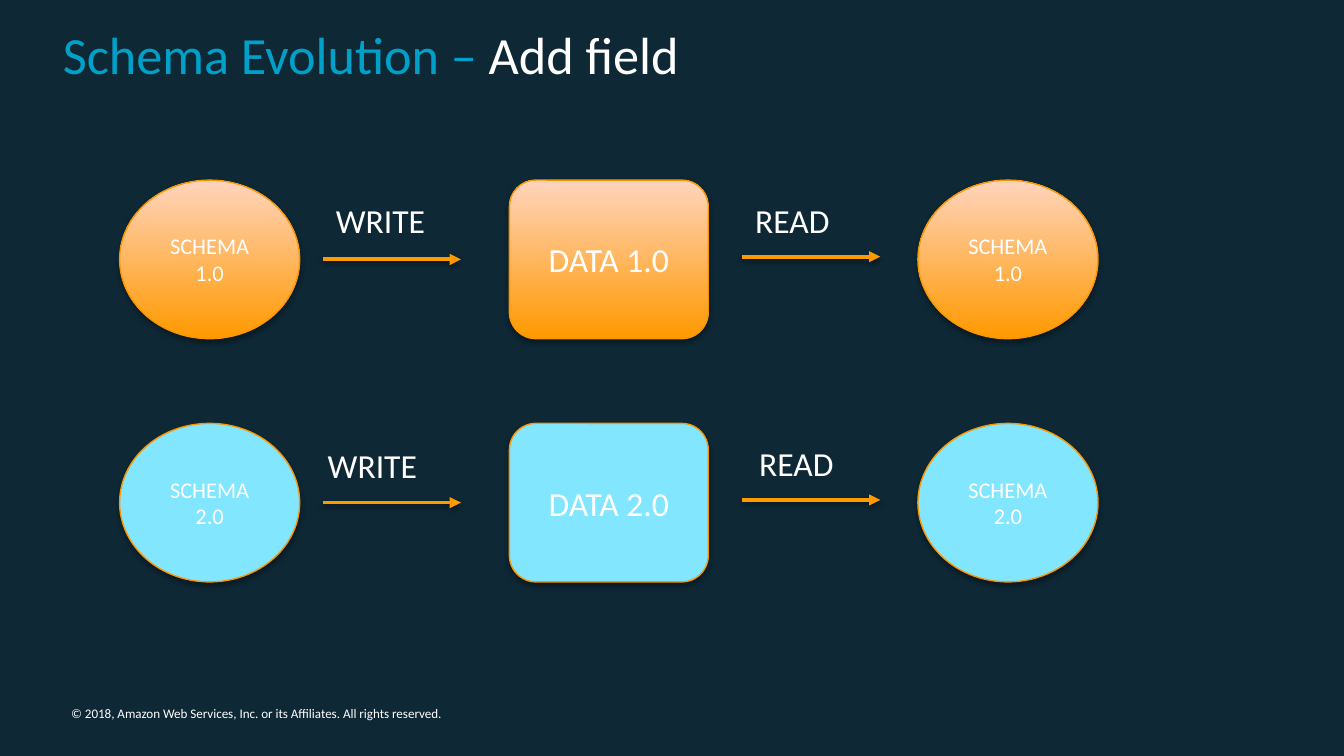
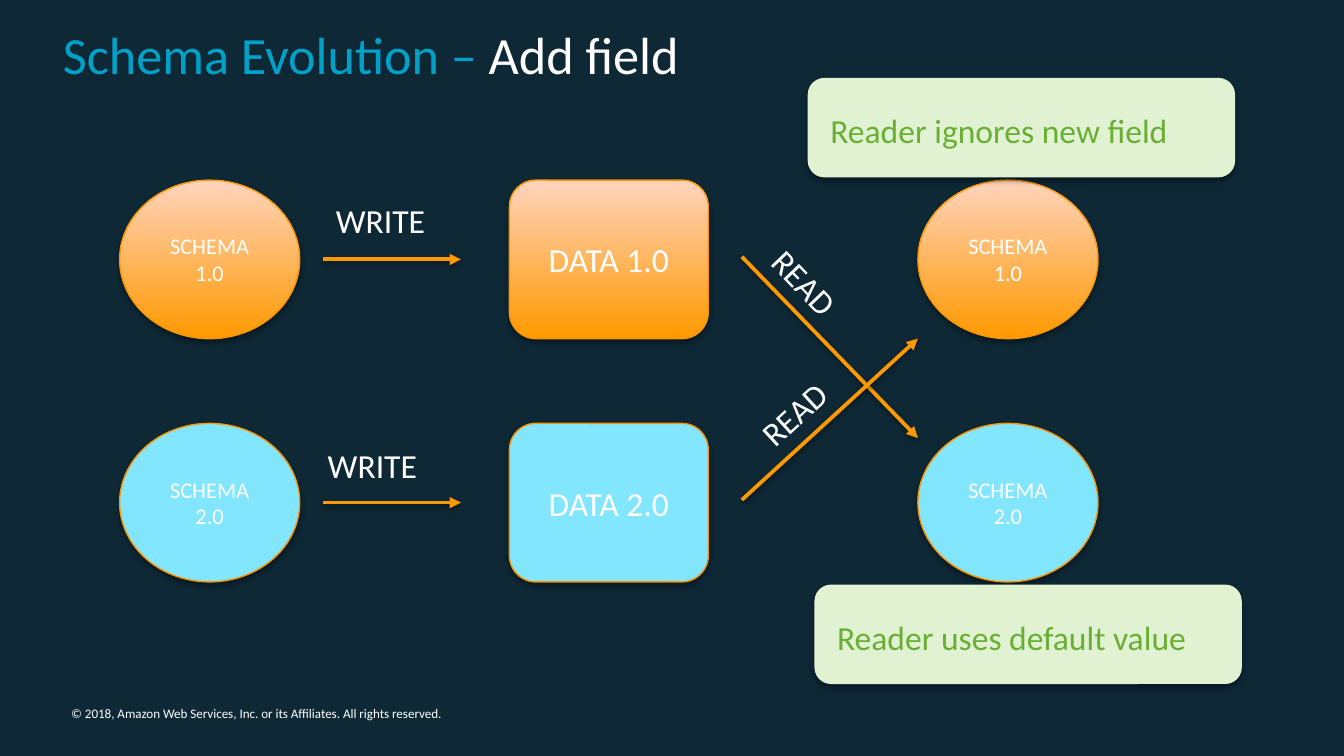
from lxml.etree import SubElement
from pptx import Presentation
from pptx.dml.color import RGBColor
from pptx.enum.shapes import MSO_CONNECTOR, MSO_SHAPE
from pptx.enum.text import MSO_ANCHOR, MSO_AUTO_SIZE as FIT, PP_ALIGN
from pptx.oxml.ns import qn
from pptx.util import Inches, Pt

NAVY = RGBColor(0x0E, 0x28, 0x36)
WHITE = RGBColor(0xFF, 0xFF, 0xFF)
BLUE = RGBColor(0x00, 0xA1, 0xC9)
ORANGE = RGBColor(0xFF, 0x99, 0x00)
PEACH = RGBColor(0xFF, 0xD4, 0xBD)
OUTLINE = RGBColor(0xF9, 0x96, 0x00)
SKY = RGBColor(0x83, 0xE6, 0xFF)
MINT = RGBColor(0xE1, 0xF2, 0xD3)
GREEN = RGBColor(0x69, 0xAF, 0x34)

FONT = "Calibri"
FOOTER = "© 2018, Amazon Web Services, Inc. or its Affiliates. All rights reserved."
VERSIONS = [("1.0", 1.34), ("2.0", 3.15)]
SHAPE_H = 1.18
WRITER_X, DATA_X, READER_X = 0.89, 3.79, 6.83
WRITE_X, READ_X, ARROW_W = 2.4, 5.52, 1.03
READ_Y = [1.91, 3.72]


def set_font(font, size, color):
    """Apply the deck font with a size and a colour."""
    font.name, font.size, font.color.rgb = FONT, Pt(size), color


def add_shadow(shape, alpha, dist):
    """Give a shape or connector a soft shadow straight below it."""
    effects = SubElement(shape.element.spPr, qn("a:effectLst"))
    shadow = SubElement(effects, qn("a:outerShdw"), blurRad=str(Pt(3.1)),
                        dist=str(Pt(dist)), dir="5400000", rotWithShape="0")
    color = SubElement(shadow, qn("a:srgbClr"), val="000000")
    SubElement(color, qn("a:alpha"), val=str(alpha * 1000))


def add_text(s, x, y, w, h):
    """Add an empty text box and return it."""
    return s.shapes.add_textbox(Inches(x), Inches(y), Inches(w), Inches(h))


def add_title(s, topic, detail):
    """Add the two-colour slide title."""
    tf = add_text(s, 0.37, 0.12, 8.97, 0.6).text_frame
    tf.word_wrap = True
    for text, color in [(topic, BLUE), (detail, WHITE)]:
        r = tf.paragraphs[0].add_run()
        r.text = text
        set_font(r.font, 28, color)


def add_footer(s):
    """Add the copyright line."""
    tf = add_text(s, 0.53, 5.25, 3.31, 0.12).text_frame
    tf.margin_left = tf.margin_right = tf.margin_top = tf.margin_bottom = 0
    tf.word_wrap, tf.auto_size = True, FIT.SHAPE_TO_FIT_TEXT
    tf.text = FOOTER
    set_font(tf.paragraphs[0].font, 7, WHITE)


def add_label(s, text, x, y, w, color=WHITE, rotation=0):
    """Add a one-line label that does not wrap."""
    sp = add_text(s, x, y, w, 0.4)
    sp.rotation = rotation
    tf = sp.text_frame
    tf.word_wrap, tf.auto_size = False, FIT.SHAPE_TO_FIT_TEXT
    tf.text = text
    set_font(tf.paragraphs[0].font, 18, color)


def add_node(s, kind, text, size, x, y, w, version):
    """Add a schema or data shape in the fill of its version."""
    sp = s.shapes.add_shape(kind, Inches(x), Inches(y), Inches(w), Inches(SHAPE_H))
    if version == "1.0":
        sp.fill.gradient()
        sp.fill.gradient_angle = 90
        for stop, color in zip(sp.fill.gradient_stops, [ORANGE, PEACH]):
            stop.color.rgb = color
    else:
        sp.fill.solid()
        sp.fill.fore_color.rgb = SKY
    sp.line.color.rgb, sp.line.width = OUTLINE, Pt(0.75)
    add_shadow(sp, 35, 1.8)
    tf = sp.text_frame
    tf.word_wrap, tf.vertical_anchor = True, MSO_ANCHOR.MIDDLE
    tf.text = f"{text} {version}"
    p = tf.paragraphs[0]
    p.alignment = PP_ALIGN.CENTER
    set_font(p.font, size, WHITE)


def add_arrow(s, x1, y1, x2, y2):
    """Add an orange arrow from the first point to the second."""
    line = s.shapes.add_connector(MSO_CONNECTOR.STRAIGHT, Inches(x1), Inches(y1),
                                  Inches(x2), Inches(y2))
    line.line.color.rgb, line.line.width = ORANGE, Pt(2)
    SubElement(line.element.spPr.find(qn("a:ln")), qn("a:tailEnd"), type="triangle")
    add_shadow(line, 38, 1.6)


def add_note(s, text, x, y, text_w):
    """Add a green note with its text."""
    sp = s.shapes.add_shape(MSO_SHAPE.ROUNDED_RECTANGLE, Inches(x), Inches(y),
                            Inches(3.18), Inches(0.74))
    sp.fill.solid()
    sp.fill.fore_color.rgb = MINT
    sp.line.fill.background()
    add_shadow(sp, 35, 1.8)
    add_label(s, text, x + 0.07, y + 0.19, text_w, GREEN)


def add_schema_slide(prs):
    """Add a slide with the title, both version rows and their write arrows."""
    s = prs.slides.add_slide(prs.slide_layouts[6])
    add_footer(s)
    add_title(s, "Schema Evolution – ", "Add field")
    for version, y in VERSIONS:
        add_node(s, MSO_SHAPE.ROUNDED_RECTANGLE, "DATA", 18, DATA_X, y, 1.48, version)
        for x in (WRITER_X, READER_X):
            add_node(s, MSO_SHAPE.OVAL, "SCHEMA", 12, x, y, 1.34, version)
        middle = y + SHAPE_H / 2
        add_arrow(s, WRITE_X, middle, WRITE_X + ARROW_W, middle)
    add_label(s, "WRITE", 2.4, 1.44, 0.95)
    add_label(s, "WRITE", 2.34, 3.26, 0.95)
    return s


def main():
    """Build and save the deck."""
    prs = Presentation()
    prs.slide_width = Inches(10)
    prs.slide_height = prs.slide_width * 9 // 16
    fill = prs.slide_master.background.fill
    fill.solid()
    fill.fore_color.rgb = NAVY

    s = add_schema_slide(prs)
    for y in READ_Y:
        add_arrow(s, READ_X, y, READ_X + ARROW_W, y)
    add_label(s, "READ", 5.52, 1.44, 0.83)
    add_label(s, "READ", 5.55, 3.25, 0.83)

    s = add_schema_slide(prs)
    for y, end_y in zip(READ_Y, [3.26, 2.52]):
        add_arrow(s, READ_X, y, READER_X, end_y)
    add_label(s, "READ", 5.6, 1.93, 0.83, rotation=46.2)
    add_label(s, "READ", 5.52, 2.85, 0.83, rotation=317.5)
    add_note(s, "Reader ignores new field", 6.01, 0.58, 3.03)
    add_note(s, "Reader uses default value", 6.06, 4.35, 3.13)

    prs.save("out.pptx")


if __name__ == "__main__":
    main()
